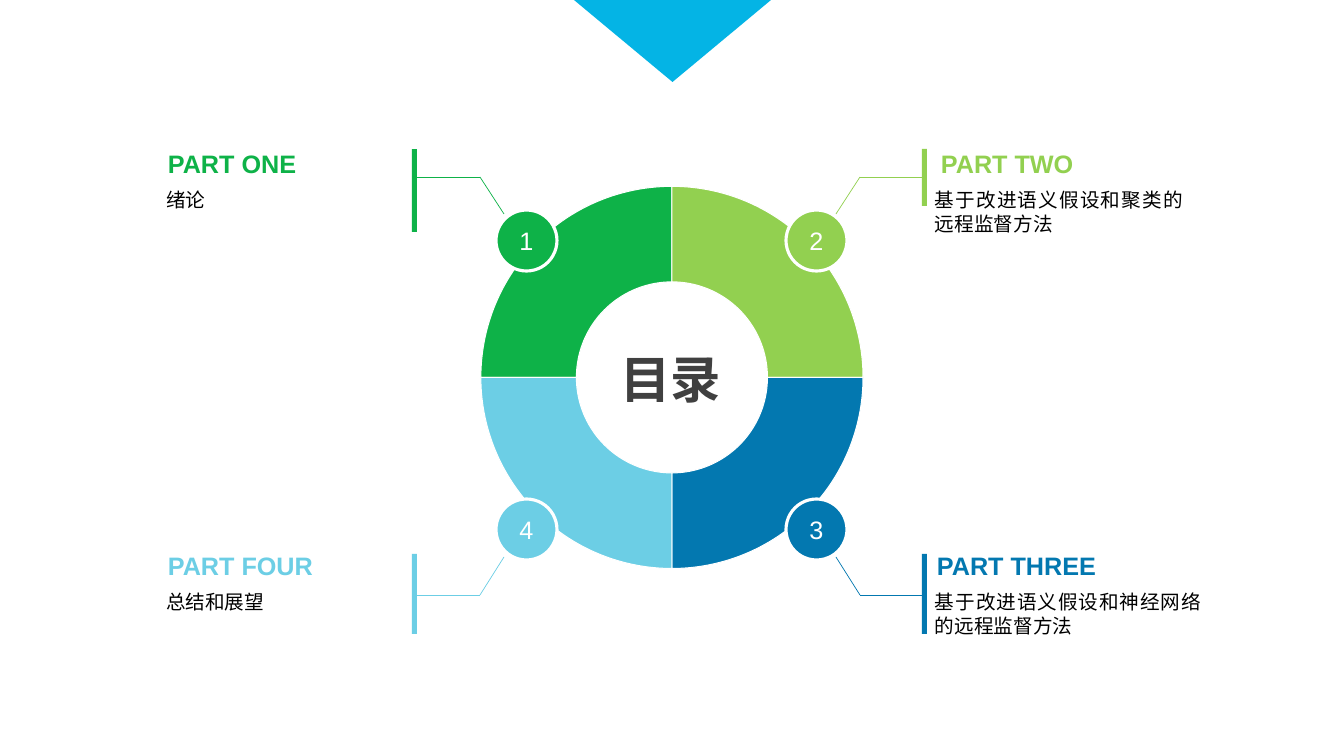
import pptx
import pptx.chart.data
import pptx.dml.color
import pptx.enum.chart
import pptx.enum.shapes
import pptx.enum.text
import pptx.oxml
import pptx.oxml.ns
import pptx.util

PX = 12192000 / 1344
COLORS = {
    "green": "0EB248", "lime": "92D050", "blue": "0378B0", "sky": "6CCEE5",
    "amber": "FFC000", "cyan": "04B4E5", "dark": "404040",
    "black": "000000", "white": "FFFFFF",
}
SHAPES = pptx.enum.shapes.MSO_SHAPE
ALIGN = pptx.enum.text.PP_ALIGN
ANCHOR = pptx.enum.text.MSO_ANCHOR
GROW = pptx.enum.text.MSO_AUTO_SIZE.SHAPE_TO_FIT_TEXT

# number, colour, heading, heading left and width, text, text width and height, font, bar height
PARTS = [
    (1, "green", "PART ONE", 158, 150, "绪论", 246, 31, "Calibri", 83),
    (2, "lime", "PART TWO", 931, 154, "基于改进语义假设和聚类的远程监督方法", 264, 54, "Arial", 57),
    (3, "blue", "PART THREE", 927, 181, "基于改进语义假设和神经网络的远程监督方法", 282, 54, "Arial", 80),
    (4, "sky", "PART FOUR", 158, 167, "总结和展望", 246, 31, "Calibri", 80),
]
# bar left, text left, badge left, leader x positions
SIDES = {
    "left": (412, 158, 496, (504, 480, 417)),
    "right": (922, 927, 786, (836, 860, 922)),
}
# bar top, heading top, text top, badge top, leader y positions
ROWS = {
    "top": (149, 143, 184, 210, (214, 177, 177)),
    "bottom": (554, 545, 586, 499, (557, 595, 595)),
}


def px(*lengths):
    return [pptx.util.Emu(round(length * PX)) for length in lengths]


def rgb(name):
    return pptx.dml.color.RGBColor.from_string(COLORS[name])


def set_font(font, size, color, name="Arial", bold=False):
    font.size = pptx.util.Pt(size)
    font.name = name
    font.bold = bold
    font.color.rgb = rgb(color)


def add_block(page, kind, area, color):
    shape = page.shapes.add_shape(kind, *px(*area))
    shape.shadow.inherit = False
    shape.fill.solid()
    shape.fill.fore_color.rgb = rgb(color)
    shape.line.fill.background()
    return shape


def add_badge(page, left, top, number, color):
    badge = add_block(page, SHAPES.OVAL, (left, top, 61, 61), color)
    badge.line.color.rgb = rgb("white")
    badge.line.width = pptx.util.Pt(2.25)
    badge.text_frame.text = str(number)
    badge.text_frame.vertical_anchor = ANCHOR.MIDDLE
    para = badge.text_frame.paragraphs[0]
    para.alignment = ALIGN.CENTER
    set_font(para.font, 18, "white")


def add_text(page, area, text, wrap):
    box = page.shapes.add_textbox(*px(*area))
    frame = box.text_frame
    frame.text = text
    frame.word_wrap = wrap
    frame.auto_size = GROW
    return frame


def add_heading(page, area, text, color):
    frame = add_text(page, area, text, False)
    set_font(frame.paragraphs[0].font, 18, color, bold=True)


def add_body(page, area, text, font_name):
    frame = add_text(page, area, text, True)
    frame.margin_left, frame.margin_top, frame.margin_right, frame.margin_bottom = px(8, 4, 8, 4)
    para = frame.paragraphs[0]
    para.alignment = ALIGN.JUSTIFY
    para.space_after = pptx.util.Pt(6)
    set_font(para.font, 14, "black", font_name)


def add_leader(page, points, color):
    group = page.shapes.add_group_shape()
    for start, end in zip(points, points[1:]):
        line = group.shapes.add_connector(
            pptx.enum.shapes.MSO_CONNECTOR.STRAIGHT, *px(*start, *end))
        line.line.color.rgb = rgb(color)
        line.line.width = pptx.util.Pt(0.5)
        effects = pptx.oxml.parse_xml(
            f'<a:effectLst {pptx.oxml.ns.nsdecls("a")}/>')
        line._element.spPr.append(effects)


def add_ring(page):
    data = pptx.chart.data.CategoryChartData()
    data.categories = ["1", "2", "3", "4", "5"]
    data.add_series("Series 1", [25, 25, 25, 25, None])
    chart = page.shapes.add_chart(
        pptx.enum.chart.XL_CHART_TYPE.DOUGHNUT, *px(464, 172, 416, 411), data).chart
    chart.has_legend = False
    chart.has_title = False
    set_font(chart.font, 10, "black")
    plot = chart.plots[0]
    plot.vary_by_categories = True
    for index, color in enumerate(["green", "lime", "blue", "sky", "amber"]):
        point = plot.series[0].points[index].format
        point.fill.solid()
        point.fill.fore_color.rgb = rgb(color)
        point.line.color.rgb = rgb("white")
        point.line.width = pptx.util.Pt(0.75)

    # Hole, first angle and plot position
    qn = pptx.oxml.ns.qn
    ring = plot._element
    ring.find(qn("c:holeSize")).set("val", "75")
    ring.find(qn("c:firstSliceAng")).set("val", "270")
    area = ring.getparent()
    for layout in area.findall(qn("c:layout")):
        area.remove(layout)
    places = {"x": 0.04, "y": 0.035, "w": 0.92, "h": 0.93}
    values = "".join(f'<c:{key} val="{value}"/>' for key, value in places.items())
    area.insert(0, pptx.oxml.parse_xml(
        f'<c:layout {pptx.oxml.ns.nsdecls("c")}><c:manualLayout>'
        '<c:layoutTarget val="inner"/><c:xMode val="edge"/><c:yMode val="edge"/>'
        f'{values}</c:manualLayout></c:layout>'))


def place_title(page, text):
    title = page.shapes.title
    title.left, title.top, title.width, title.height = px(610, 343, 122, 71)
    frame = title.text_frame
    frame.text = text
    frame.word_wrap = False
    frame.auto_size = GROW
    frame.vertical_anchor = ANCHOR.TOP
    frame.paragraphs[0].alignment = ALIGN.LEFT
    set_font(frame.paragraphs[0].font, 36, "dark", bold=True)
    # Bring the title in front of the ring
    page.shapes._spTree.append(title._element)


def add_part(page, part):
    number, color, heading, head_left, head_width, text, width, height, font_name, bar = part
    bar_left, text_left, badge_left, xs = SIDES["left" if number in (1, 4) else "right"]
    bar_top, head_top, text_top, badge_top, ys = ROWS["top" if number < 3 else "bottom"]
    add_badge(page, badge_left, badge_top, number, color)
    add_heading(page, (head_left, head_top, head_width, 40), heading, color)
    add_body(page, (text_left, text_top, width, height), text, font_name)
    add_block(page, SHAPES.RECTANGLE, (bar_left, bar_top, 5, bar), color)
    add_leader(page, list(zip(xs, ys)), color)


def main():
    deck = pptx.Presentation()
    deck.slide_width, deck.slide_height = px(1344, 756)
    page = deck.slides.add_slide(deck.slide_layouts.get_by_name("Title Only"))

    # Ring with its four parts
    add_ring(page)
    for part in PARTS:
        add_part(page, part)

    # Top marker and title
    marker = add_block(page, SHAPES.ISOSCELES_TRIANGLE, (574, 0, 197, 82), "cyan")
    marker.rotation = 180
    place_title(page, "目录")
    deck.save("out.pptx")


if __name__ == "__main__":
    main()
